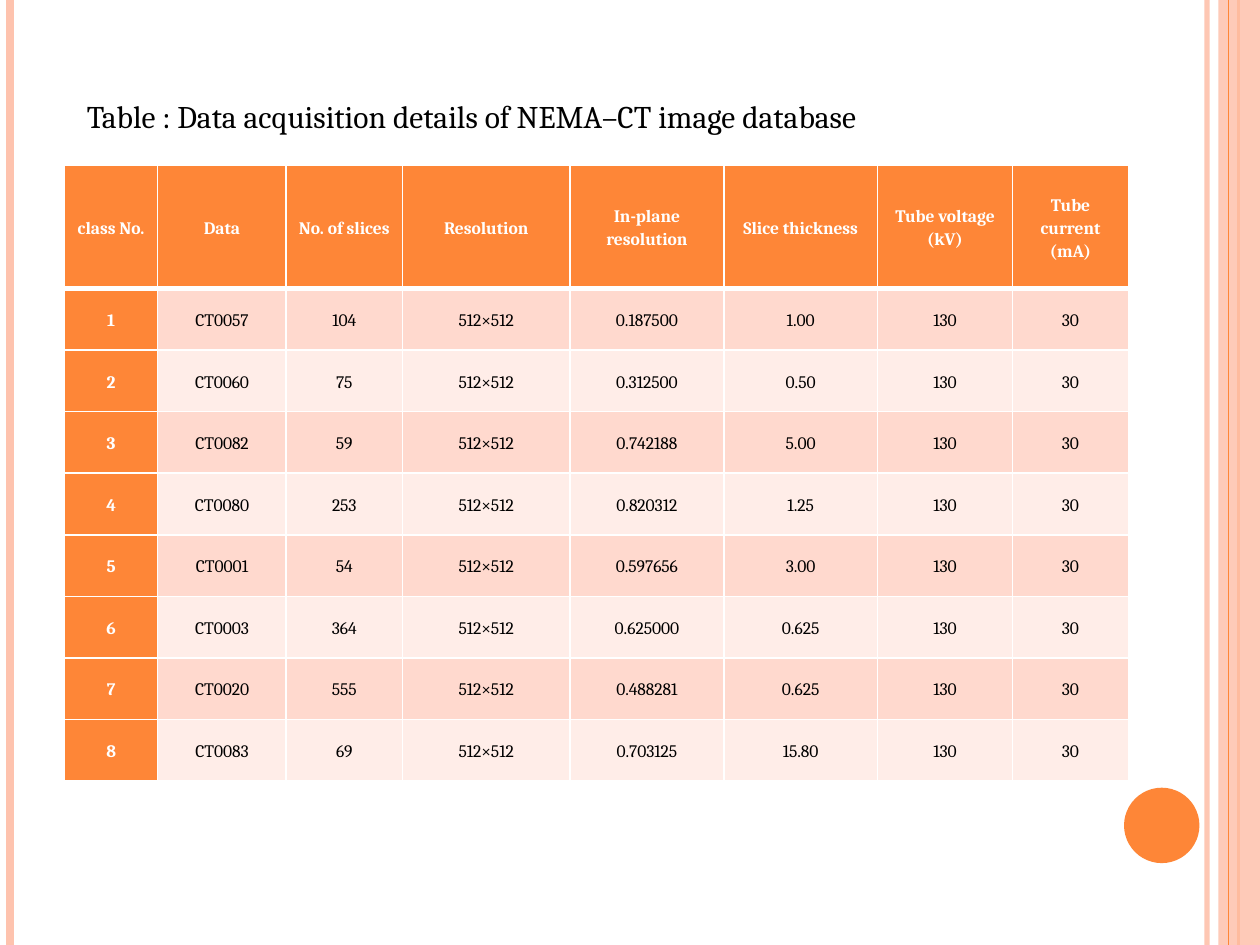
from lxml.etree import SubElement
from pptx import Presentation
from pptx.dml.color import RGBColor
from pptx.enum.shapes import MSO_CONNECTOR, MSO_SHAPE
from pptx.enum.text import MSO_ANCHOR, MSO_AUTO_SIZE, PP_ALIGN
from pptx.oxml import parse_xml
from pptx.oxml.ns import nsdecls, qn
from pptx.util import Cm, Pt

ORANGE = RGBColor(0xFE, 0x86, 0x37)
PEACH = RGBColor(0xFE, 0xC3, 0xAE)
BAND_DARK = RGBColor(0xFF, 0xD9, 0xCE)
BAND_LIGHT = RGBColor(0xFF, 0xED, 0xE8)
WHITE = RGBColor(0xFF, 0xFF, 0xFF)
BLACK = RGBColor(0, 0, 0)
FONT = "Cambria"

SLIDE_WIDTH, SLIDE_HEIGHT = 25.4, 19.05
COLUMN_WIDTHS = [1.88, 2.59, 2.34, 3.38, 3.1, 3.1, 2.72, 2.34]
ROW_HEIGHT = 1.24
HEADINGS = ["class No.", "Data", "No. of slices", "Resolution", "In-plane resolution",
            "Slice thickness", "Tube voltage (kV)", "Tube current (mA)"]
RESOLUTION, VOLTAGE, CURRENT = "512×512", "130", "30"
# Data set, number of slices, in-plane resolution, slice thickness
SCANS = [
    ("CT0057", "104", "0.187500", "1.00"),
    ("CT0060", "75", "0.312500", "0.50"),
    ("CT0082", "59", "0.742188", "5.00"),
    ("CT0080", "253", "0.820312", "1.25"),
    ("CT0001", "54", "0.597656", "3.00"),
    ("CT0003", "364", "0.625000", "0.625"),
    ("CT0020", "555", "0.488281", "0.625"),
    ("CT0083", "69", "0.703125", "15.80"),
]


def write_text(frame, text, size=10, color=BLACK, bold=False, align=PP_ALIGN.LEFT, spacing=1.0):
    frame.word_wrap = True
    paragraph = frame.paragraphs[0]
    paragraph.alignment = align
    paragraph.line_spacing = spacing
    run = paragraph.add_run()
    run.text = text
    run.font.name = FONT
    run.font.size = Pt(size)
    run.font.bold = bold
    run.font.color.rgb = color


def set_alpha(holder, percent):
    color = next(holder.iter(qn("a:srgbClr")))
    SubElement(color, qn("a:alpha"), val=str(percent * 1000))


def add_stripe(slide, x, top, height, color, weight):
    stripe = slide.shapes.add_connector(
        MSO_CONNECTOR.STRAIGHT, Cm(x), Cm(top), Cm(x), Cm(top + height))
    stripe.line.color.rgb = color
    stripe.line.width = Pt(weight)
    SubElement(stripe._element.spPr, qn("a:effectLst"))
    return stripe


def add_solid(slide, preset, left, top, width, height, color):
    solid = slide.shapes.add_shape(preset, Cm(left), Cm(top), Cm(width), Cm(height))
    solid.shadow.inherit = False
    solid.fill.solid()
    solid.fill.fore_color.rgb = color
    solid.line.fill.background()
    return solid


def add_decoration(slide, left, top, width, height):
    right = left + width
    # Pale stripes at both edges
    inner_stripe = add_stripe(slide, right - 1.07, top, height, PEACH, 3)
    set_alpha(inner_stripe.line._ln, 93)
    add_stripe(slide, left + 0.2, top, height, PEACH, 4.5)
    # Right band with its thin lines
    add_stripe(slide, right - 0.43, top, height, ORANGE, 1.5)
    band = add_solid(slide, MSO_SHAPE.RECTANGLE, right - 0.84, top, 0.84, height, PEACH)
    set_alpha(band._element.spPr, 87)
    add_stripe(slide, right - 0.64, top, height, ORANGE, 0.75)
    # Disc at the lower right
    add_solid(slide, MSO_SHAPE.OVAL, right - 2.74, top + 15.88, 1.52, 1.52, ORANGE)


def set_borders(cell, top=1, bottom=1):
    weights = {"lnL": 1, "lnR": 1, "lnT": top, "lnB": bottom}
    properties = cell._tc.get_or_add_tcPr()
    for position, (side, weight) in enumerate(weights.items()):
        properties.insert(position, parse_xml(
            f'<a:{side} {nsdecls("a")} w="{Pt(weight)}"><a:solidFill>'
            f'<a:srgbClr val="{WHITE}"/></a:solidFill></a:{side}>'))


def add_scan_table(slide, left, top):
    rows = [HEADINGS] + [
        [str(number), name, slices, RESOLUTION, in_plane, thickness, VOLTAGE, CURRENT]
        for number, (name, slices, in_plane, thickness) in enumerate(SCANS, 1)]
    heights = [2 * ROW_HEIGHT] + [ROW_HEIGHT] * len(SCANS)
    table = slide.shapes.add_table(
        len(rows), len(HEADINGS), Cm(left), Cm(top),
        Cm(sum(COLUMN_WIDTHS)), Cm(sum(heights))).table
    table.first_col = True
    for column, width in zip(table.columns, COLUMN_WIDTHS):
        column.width = Cm(width)
    for r, (values, height) in enumerate(zip(rows, heights)):
        table.rows[r].height = Cm(height)
        band = BAND_DARK if r % 2 else BAND_LIGHT
        for c, value in enumerate(values):
            heading = r == 0 or c == 0
            cell = table.cell(r, c)
            cell.margin_left = cell.margin_right = Cm(0.18)
            cell.margin_top = cell.margin_bottom = 0
            cell.vertical_anchor = MSO_ANCHOR.MIDDLE
            cell.fill.solid()
            cell.fill.fore_color.rgb = ORANGE if heading else band
            set_borders(cell, top=3 if r == 1 else 1, bottom=3 if r == 0 else 1)
            write_text(cell.text_frame, value, color=WHITE if heading else BLACK,
                       bold=heading, align=PP_ALIGN.CENTER, spacing=1.15)


def add_caption(slide, left, top, width, height):
    caption = slide.shapes.add_textbox(Cm(left), Cm(top), Cm(width), Cm(height)).text_frame
    caption.auto_size = MSO_AUTO_SIZE.SHAPE_TO_FIT_TEXT
    write_text(caption, "Table : Data acquisition details of NEMA–CT image database", size=18)


def main():
    deck = Presentation()
    deck.slide_width, deck.slide_height = Cm(SLIDE_WIDTH), Cm(SLIDE_HEIGHT)
    slide = deck.slides.add_slide(deck.slide_layouts[6])
    add_decoration(slide, 0, 0, SLIDE_WIDTH, SLIDE_HEIGHT)
    add_scan_table(slide, 1.3, 3.34)
    add_caption(slide, 1.5, 1.83, 20.6, 1.02)
    deck.save("out.pptx")


if __name__ == "__main__":
    main()
